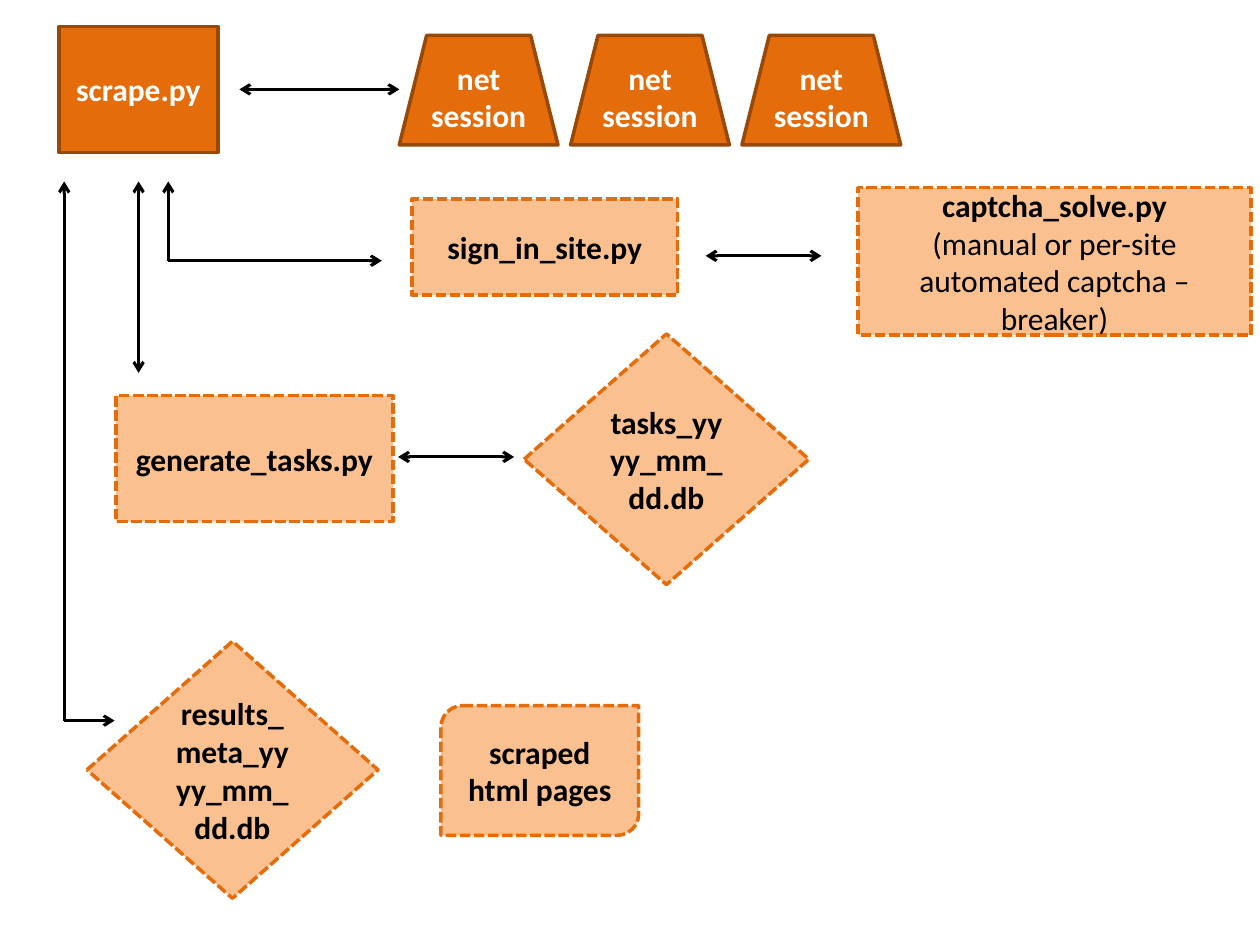
from dataclasses import dataclass

from lxml import etree
from pptx import Presentation
from pptx.dml.color import RGBColor
from pptx.enum.dml import MSO_LINE
from pptx.enum.shapes import MSO_CONNECTOR, MSO_SHAPE
from pptx.enum.text import MSO_ANCHOR, PP_ALIGN
from pptx.oxml.ns import qn
from pptx.util import Pt

RECTANGLE = MSO_SHAPE.RECTANGLE
DIAMOND = MSO_SHAPE.DIAMOND
TRAPEZOID = MSO_SHAPE.TRAPEZOID
PAGES = MSO_SHAPE.ROUND_2_DIAG_RECTANGLE
STRAIGHT = MSO_CONNECTOR.STRAIGHT
SHORT_DASH = MSO_LINE.SQUARE_DOT
MIDDLE = MSO_ANCHOR.MIDDLE
CENTER = PP_ALIGN.CENTER
BLANK_LAYOUT = 6


@dataclass(frozen=True)
class Theme:
    """Colours, type and line widths of the slide."""
    strong: RGBColor = RGBColor(0xE4, 0x6C, 0x0A)
    strong_edge: RGBColor = RGBColor(0x98, 0x48, 0x07)
    soft: RGBColor = RGBColor(0xFA, 0xC0, 0x90)
    light_text: RGBColor = RGBColor(0xFF, 0xFF, 0xFF)
    dark: RGBColor = RGBColor(0, 0, 0)
    font: str = "Calibri"
    text_size: float = 18
    edge_width: float = 2
    arrow_width: float = 1.75


THEME = Theme()


@dataclass(frozen=True)
class Box:
    """A rectangle in points."""
    left: float
    top: float
    width: float
    height: float

    def inner(self, left, top, width, height):
        """Return a box placed relative to this one."""
        return Box(self.left + left, self.top + top, width, height)

    def point(self, across, down):
        """Return a point placed relative to this box."""
        return self.left + across, self.top + down


def add_node(page, kind, box, name, detail=None, active=False):
    """Draw a node: solid when active, else pale with a dashed edge."""
    shape = page.shapes.add_shape(
        kind, Pt(box.left), Pt(box.top), Pt(box.width), Pt(box.height))
    shape.shadow.inherit = False
    shape.fill.solid()
    shape.fill.fore_color.rgb = THEME.strong if active else THEME.soft
    shape.line.color.rgb = THEME.strong_edge if active else THEME.strong
    shape.line.width = Pt(THEME.edge_width)
    if not active:
        shape.line.dash_style = SHORT_DASH
    frame = shape.text_frame
    frame.word_wrap = True
    frame.vertical_anchor = MIDDLE
    for index, text in enumerate(filter(None, (name, detail))):
        para = frame.add_paragraph() if index else frame.paragraphs[0]
        para.alignment = CENTER
        span = para.add_run()
        span.text = text
        span.font.name = THEME.font
        span.font.size = Pt(THEME.text_size)
        span.font.bold = index == 0
        span.font.color.rgb = THEME.light_text if active else THEME.dark


def add_arrow(shapes, start, end, both=True):
    """Draw a straight arrow with a head at the end, or at both ends."""
    arrow = shapes.add_connector(
        STRAIGHT, *(Pt(value) for value in (*start, *end)))
    arrow.line.color.rgb = THEME.dark
    arrow.line.width = Pt(THEME.arrow_width)
    line = arrow.line._get_or_add_ln()
    for tag in ("a:headEnd", "a:tailEnd") if both else ("a:tailEnd",):
        etree.SubElement(line, qn(tag)).set("type", "arrow")
    etree.SubElement(arrow.element.spPr, qn("a:effectLst"))


def add_corner_arrow(page, corner, across, up):
    """Draw a group of two arrows leaving one corner, right and up."""
    left, top = corner
    group = page.shapes.add_group_shape()
    add_arrow(group.shapes, corner, (left + across, top), both=False)
    add_arrow(group.shapes, corner, (left, top - up), both=False)


def draw_scraper(page, box):
    """Draw the scraper and the row of sessions it talks to."""
    add_node(page, RECTANGLE, box.inner(0, 0, 90.7, 72), "scrape.py", active=True)
    for column in range(3):
        session = box.inner(194.4 + 97.9 * column, 5.1, 90.7, 62.6)
        add_node(page, TRAPEZOID, session, "net session", active=True)
    add_arrow(page.shapes, box.point(103, 36), box.point(194.4, 36))


def draw_sign_in(page, box):
    """Draw the sign-in script, the captcha solver and their arrows."""
    add_node(page, RECTANGLE, box.inner(139.2, 10.1, 151.9, 54.7), "sign_in_site.py")
    add_node(page, RECTANGLE, box.inner(394.1, 3.6, 224.6, 84.2), "captcha_solve.py",
             "(manual or per-site automated captcha \u2013breaker)")
    add_arrow(page.shapes, box.point(307, 42.5), box.point(373.2, 42.5))
    add_corner_arrow(page, box.point(0, 45.3), 122, 45.3)


def draw_tasks(page, box):
    """Draw the task generator, its database and their arrows."""
    add_node(page, RECTANGLE, box.inner(0, 122.4, 158.4, 72), "generate_tasks.py")
    add_node(page, DIAMOND, box.inner(233.3, 87.1, 162.7, 143.3), "tasks_yyyy_mm_dd.db")
    add_arrow(page.shapes, box.point(13, 0), box.point(13, 109.4))
    add_arrow(page.shapes, box.point(161.3, 157.4), box.point(227.6, 157.4))


def draw_results(page, box):
    """Draw the results database, the saved pages and the arrow to them."""
    add_node(page, DIAMOND, box.inner(13, 262.8, 166.3, 146.9),
             "results_meta_yyyy_mm_dd.db")
    add_node(page, PAGES, box.inner(215.3, 299.5, 113, 74.2), "scraped html pages")
    add_corner_arrow(page, box.point(0, 308.1), 28.8, 308.1)


def main():
    """Build the one-slide deck and save it."""
    deck = Presentation()
    deck.slide_width, deck.slide_height = Pt(720), Pt(540)
    page = deck.slides.add_slide(deck.slide_layouts[BLANK_LAYOUT])
    draw_scraper(page, Box(33.8, 15.1, 482, 72))
    draw_sign_in(page, Box(96.2, 103.7, 618.7, 87.8))
    draw_tasks(page, Box(66.2, 103.7, 396, 230.4))
    draw_results(page, Box(36.7, 103.7, 328.3, 409.7))
    deck.save("out.pptx")


main()
